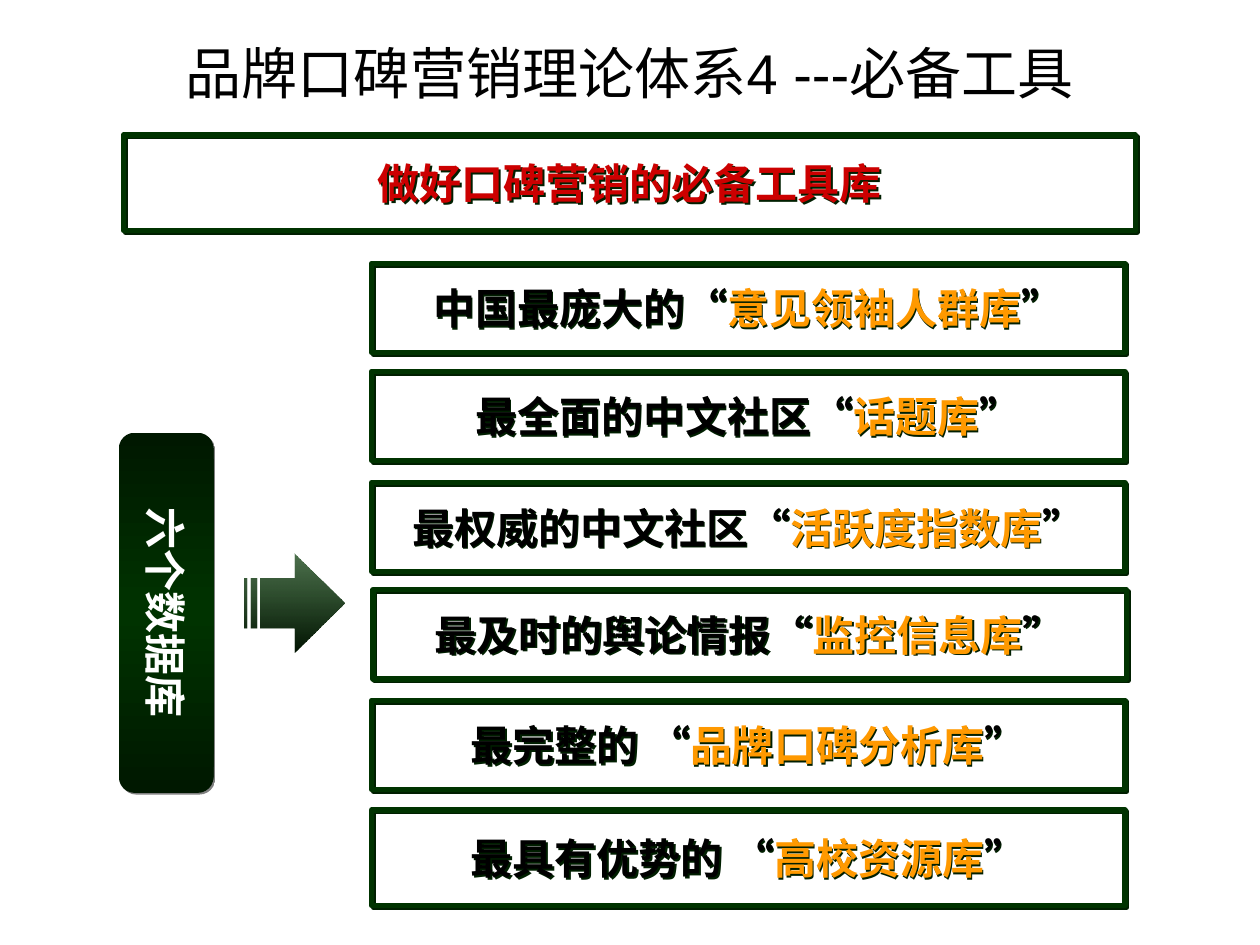
"""Build the slide on the six databases of word-of-mouth marketing."""
from lxml.etree import fromstring
from pptx import Presentation
from pptx.dml.color import RGBColor as Rgb
from pptx.enum.shapes import MSO_SHAPE as Kind
from pptx.enum.text import MSO_ANCHOR as Anchor, PP_ALIGN as Align
from pptx.util import Cm, Pt

INK = {"black": "000000", "white": "FFFFFF", "red": "CC0000", "gold": "FF9900",
       "green": "003300", "dark": "001800", "deep": "001400",
       "shade": "001F00", "gray": "808080"}
NS = 'xmlns:a="http://schemas.openxmlformats.org/drawingml/2006/main"'


def add_box(kind, spot, parts=(), shade=None):
    box = slide.shapes.add_shape(kind, *[Cm(n) for n in spot])
    box.shadow.inherit = False
    box.fill.background()
    box.line.fill.background()
    if shade:
        glow = box.shadow._element.find("{*}effectLst")
        glow.append(fromstring(
            f'<a:outerShdw {NS} dist="17780" dir="2700000" algn="ctr" rotWithShape="0">'
            f'<a:srgbClr val="{INK[shade]}"/></a:outerShdw>'))
    frame = box.text_frame
    frame.word_wrap = False
    frame.vertical_anchor = Anchor.MIDDLE
    line = frame.paragraphs[0]
    line.alignment = Align.CENTER
    line.font.size = Pt(24)
    line.font.bold = True
    for text, tint, face in parts:
        run = line.add_run()
        run.text = text
        run.font.name = face
        run.font.color.rgb = Rgb.from_string(INK[tint])
    return box


def blend(box, stops, angle):
    marks = "".join(
        f'<a:gs pos="{pos * 1000}"><a:srgbClr val="{INK[tint]}">'
        f'<a:alpha val="{alpha * 1000}"/></a:srgbClr></a:gs>'
        for pos, tint, alpha in stops)
    props = box._element.spPr
    old = props.find("{*}noFill")
    props.replace(old, fromstring(
        f'<a:gradFill {NS} rotWithShape="1"><a:gsLst>{marks}</a:gsLst>'
        f'<a:lin ang="{angle * 60000}" scaled="0"/></a:gradFill>'))


deck = Presentation()
deck.slide_width, deck.slide_height = Cm(25.4), Cm(19.05)
slide = deck.slides.add_slide(deck.slide_layouts[6])

title = slide.shapes.add_textbox(Cm(3.5), Cm(0.76), Cm(20.42), Cm(1.37))
title.text_frame.word_wrap = True
title.text_frame.vertical_anchor = Anchor.MIDDLE
head = title.text_frame.paragraphs[0]
head.text = "品牌口碑营销理论体系4 ---必备工具"
head.font.size = Pt(32)
head.font.name = "Arial"
head.font.color.rgb = Rgb.from_string(INK["black"])

frames = [add_box(Kind.RECTANGLE, (2.49, 2.72, 20.4, 1.93),
                  [("做好口碑营销的必备工具库", "red", "Arial")], "shade")]
rows = [
    (7.49, 5.31, 1.8, "中国最庞大的", "意见领袖人群库"),
    (7.49, 7.49, 1.8, "最全面的中文社区", "话题库"),
    (7.49, 9.73, 1.8, "最权威的中文社区", "活跃度指数库"),
    (7.52, 11.89, 1.8, "最及时的舆论情报", "监控信息库"),
    (7.49, 14.12, 1.8, "最完整的 ", "品牌口碑分析库"),
    (7.49, 16.33, 1.93, "最具有优势的 ", "高校资源库"),
]
for left, top, high, lead, name in rows:
    parts = [(lead, "black", "Arial"), ("“", "black", "Noto Sans CJK SC"),
             (name, "gold", "Arial"), ("”", "black", "Noto Sans CJK SC")]
    frames.append(add_box(Kind.RECTANGLE, (left, top, 15.19, high), parts, "shade"))
for box in frames:
    box.line.color.rgb = Rgb.from_string(INK["green"])
    box.line.width = Pt(3)

label = add_box(Kind.ROUNDED_RECTANGLE, (-0.28, 11.4, 7.26, 1.91),
                [("六个数据库", "white", "Arial")], "gray")
label.rotation = 90
blend(label, [(0, "dark", 100), (50, "green", 100), (100, "dark", 100)], 0)

arrow = add_box(Kind.STRIPED_RIGHT_ARROW, (4.93, 11.15, 2.01, 2.01))
blend(arrow, [(0, "green", 70), (100, "deep", 100)], 90)

deck.save("out.pptx")
